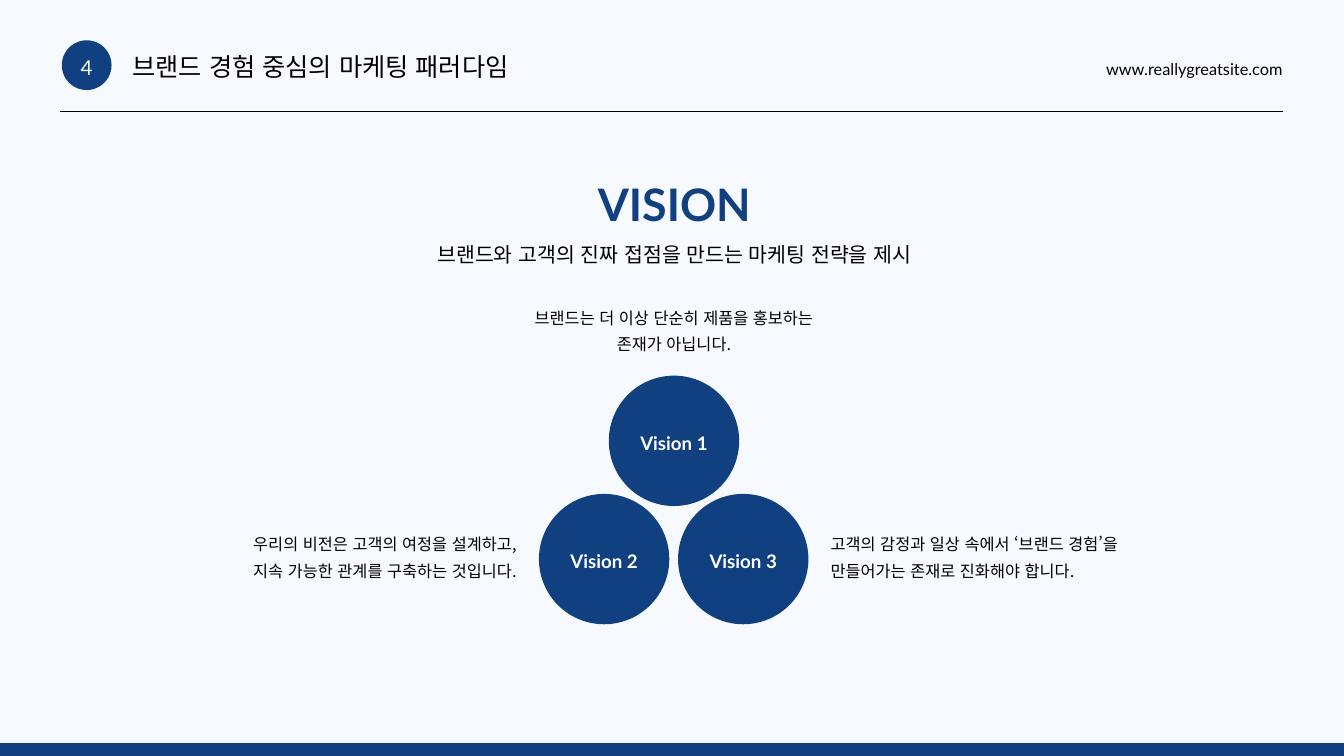
from dataclasses import dataclass

from lxml import etree
from pptx import Presentation
from pptx.dml.color import RGBColor
from pptx.enum import lang, shapes, text
from pptx.oxml.ns import qn
from pptx.util import Inches, Pt

COLORS = {"bg": "F6FAFF", "navy": "104080", "black": "000000", "white": "FFFFFF"}
LATIN, KOREAN = "Lato", "Noto Sans CJK KR"
LEFT, CENTER, RIGHT = text.PP_ALIGN.LEFT, text.PP_ALIGN.CENTER, text.PP_ALIGN.RIGHT
DIAMETER = 1.94


@dataclass
class Vision:
    label: str
    left: float
    top: float
    note: str
    note_box: tuple[float, float, float, float]
    align: text.PP_ALIGN


VISIONS = [
    Vision("Vision 1", 9.06, 5.59, "브랜드는 더 이상 단순히 제품을 홍보하는 존재가 아닙니다.",
           (7.91, 4.48, 4.24, 0.75), CENTER),
    Vision("Vision 2", 8.02, 7.35, "우리의 비전은 고객의 여정을 설계하고, 지속 가능한 관계를 구축하는 것입니다.",
           (3.62, 7.85, 4.07, 0.75), RIGHT),
    Vision("Vision 3", 10.09, 7.35, "고객의 감정과 일상 속에서 ‘브랜드 경험’을 만들어가는 존재로 진화해야 합니다.",
           (12.36, 7.85, 4.49, 0.75), LEFT),
]


def rgb(name: str) -> RGBColor:
    return RGBColor.from_string(COLORS[name])


def write(sp, content: str, *, size: float, spacing: float, font: str = LATIN,
          color: str = "black", bold: bool = False, align=LEFT,
          anchor=text.MSO_ANCHOR.TOP) -> None:
    """Fill a shape with one formatted paragraph."""
    tf = sp.text_frame
    tf.margin_left = tf.margin_right = tf.margin_top = tf.margin_bottom = 0
    tf.word_wrap = True
    tf.auto_size = text.MSO_AUTO_SIZE.NONE
    tf.vertical_anchor = anchor
    p = tf.paragraphs[0]
    p.alignment, p.line_spacing = align, Pt(spacing)
    p.space_before = Pt(0)
    r = p.add_run()
    r.text = content
    f = r.font
    f.name, f.size, f.bold = font, Pt(size), bold
    f.color.rgb = rgb(color)
    if font == KOREAN:
        f.language_id = lang.MSO_LANGUAGE_ID.KOREAN
        latin = f._element.find(qn("a:latin"))
        latin.addnext(etree.Element(qn("a:ea"), typeface=font))


def add_text(s, box: tuple, content: str, **fmt) -> None:
    write(s.shapes.add_textbox(*map(Inches, box)), content, **fmt)


def add_filled(s, kind, box: tuple):
    sp = s.shapes.add_shape(kind, *map(Inches, box))
    sp.shadow.inherit = False
    sp.fill.solid()
    sp.fill.fore_color.rgb = rgb("navy")
    sp.line.fill.background()
    return sp


def add_circle(s, left: float, top: float, diameter: float, label: str, **fmt) -> None:
    sp = add_filled(s, shapes.MSO_SHAPE.OVAL, (left, top, diameter, diameter))
    write(sp, label, color="white", align=CENTER, anchor=text.MSO_ANCHOR.MIDDLE, **fmt)


def main() -> None:
    prs = Presentation()
    prs.slide_width, prs.slide_height = Inches(20), Inches(11.25)
    s = prs.slides.add_slide(prs.slide_layouts[5])
    s.background.fill.solid()
    s.background.fill.fore_color.rgb = rgb("bg")

    # Header: number, title, site and rule
    add_circle(s, 0.92, 0.6, 0.74, "4", size=22, spacing=30.8)
    title = s.shapes.title
    title.left, title.top, title.width, title.height = map(Inches, (1.97, 0.69, 5.96, 0.51))
    write(title, "브랜드 경험 중심의 마케팅 패러다임", size=27, spacing=37.8, font=KOREAN)
    add_text(s, (16.19, 0.83, 2.9, 0.32), "www.reallygreatsite.com",
             size=17.5, spacing=24.5, align=RIGHT)
    rule = s.shapes.add_connector(shapes.MSO_CONNECTOR.STRAIGHT, Inches(0.9), Inches(1.65),
                                  Inches(19.09), Inches(1.65))
    rule.line.color.rgb = rgb("black")
    rule.line.width = Pt(0.75)
    etree.SubElement(rule._element.spPr, qn("a:effectLst"))

    # Headline
    add_text(s, (8.76, 2.49, 2.55, 0.91), "VISION", size=48, spacing=67.2,
             color="navy", bold=True, align=CENTER)
    add_text(s, (6.27, 3.54, 7.53, 0.42), "브랜드와 고객의 진짜 접점을 만드는 마케팅 전략을 제시",
             size=22, spacing=30.8, font=KOREAN, align=CENTER)

    # Vision circles with their notes
    for v in VISIONS:
        add_circle(s, v.left, v.top, DIAMETER, v.label, size=20, spacing=28, bold=True)
        add_text(s, v.note_box, v.note, size=17.5, spacing=28.3, font=KOREAN, align=v.align)

    # Footer band
    add_filled(s, shapes.MSO_SHAPE.RECTANGLE, (0, 11.06, 20, 0.19))

    prs.save("out.pptx")


if __name__ == "__main__":
    main()
